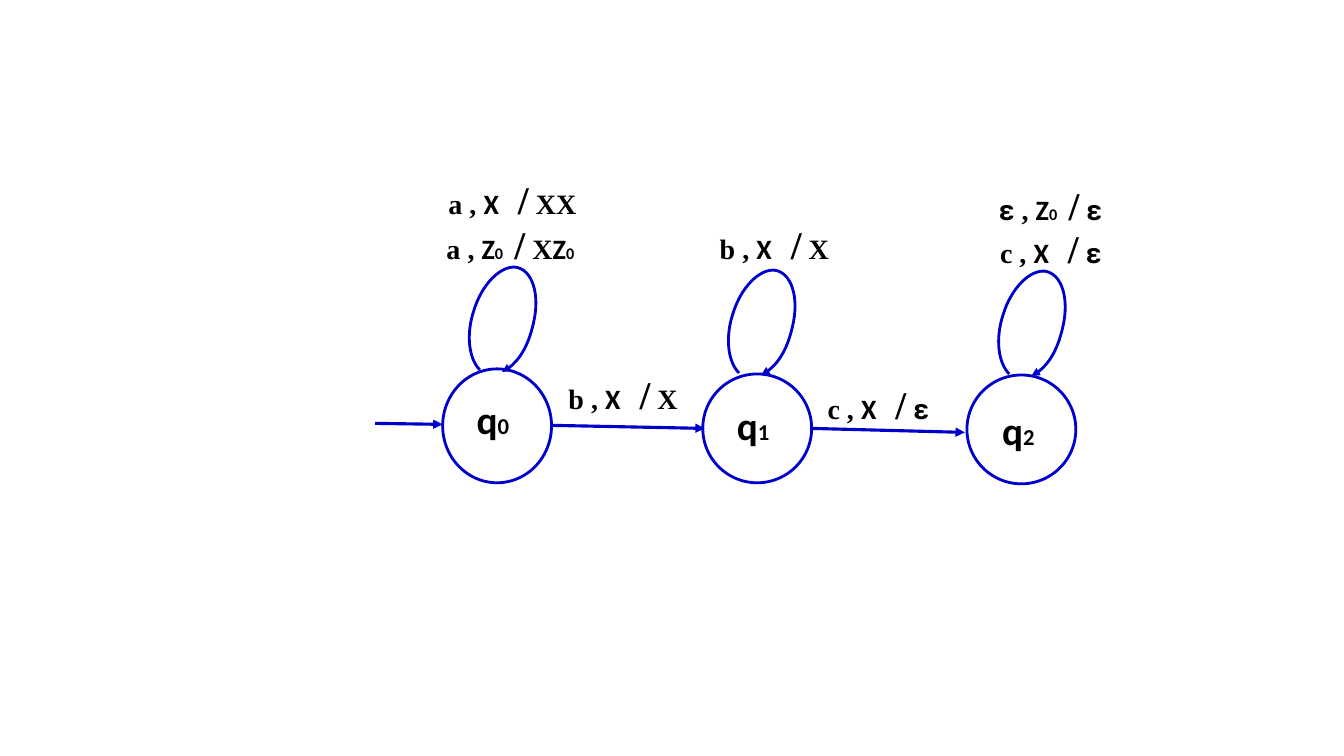
from pptx import Presentation
from pptx.dml.color import RGBColor
from pptx.enum.shapes import MSO_CONNECTOR, MSO_SHAPE
from pptx.oxml.ns import qn
from pptx.util import Pt
from lxml import etree

OVAL = MSO_SHAPE.OVAL
STRAIGHT = MSO_CONNECTOR.STRAIGHT
PX = 9144  # 100 px to the inch
COLORS = {"edge": "0000CC", "text": "000000"}
SERIF, SANS, GREEK = "Times New Roman", "Calibri", "Roboto"


def style_line(shape, width, arrow):
    shape.line.color.rgb = RGBColor.from_string(COLORS["edge"])
    shape.line.width = Pt(width)
    if arrow:
        etree.SubElement(shape.line._get_or_add_ln(), qn("a:tailEnd"), type="triangle")


def add_label(left, top, width, height, spans):
    """Each span is (text, font, size, baseline, letter spacing)."""
    box = page.shapes.add_textbox(left * PX, top * PX, width * PX, height * PX)
    box.text_frame.word_wrap = True
    para = box.text_frame.paragraphs[0]
    para.space_after = Pt(10)
    para.line_spacing = 1.08
    for text, font, size, baseline, spacing in spans:
        span = para.add_run()
        span.text = text
        span.font.name = font
        span.font.size = Pt(size)
        span.font.bold = True
        span.font.color.rgb = RGBColor.from_string(COLORS["text"])
        properties = span.font._element
        if baseline:
            properties.set("baseline", str(baseline))
        if spacing:
            properties.set("spc", str(spacing))


deck = Presentation()
deck.slide_width, deck.slide_height = 1333 * PX, 750 * PX
page = deck.slides.add_slide(deck.slide_layouts[6])

# States: circle box, label corner, start of the self-loop
states = [
    ((439, 366, 108, 113), (463, 384), (476, 367)),
    ((697, 371, 108, 108), (721, 389), (733, 370)),
    ((959, 372, 108, 108), (984, 394), (1001, 371)),
]
# Bezier points of a self-loop, relative to its start
loop_points = [
    (-11, -11), (-14, -35), (-6, -59),
    (2, -85), (20, -103), (35, -102),
    (52, -100), (60, -75), (53, -46),
    (48, -24), (36, -4), (22, 2),
]
for number, (circle_box, (label_left, label_top), (start_x, start_y)) in enumerate(states):
    circle = page.shapes.add_shape(OVAL, *[length * PX for length in circle_box])
    circle.shadow.inherit = False
    circle.fill.background()
    style_line(circle, 2, False)
    add_label(label_left, label_top, 66, 51,
              [("q", SANS, 28, 0, 0), (str(number), SANS, 28, -25, 0)])

    builder = page.shapes.build_freeform(start_x, start_y, scale=PX)
    builder.add_line_segments([(start_x + dx, start_y + dy) for dx, dy in loop_points], close=False)
    loop = builder.convert_to_shape()
    loop.shadow.inherit = False
    loop.fill.background()
    style_line(loop, 2, True)
    # Turn each three straight segments into one cubic curve
    outline = loop._element.find(".//" + qn("a:path"))
    segments = outline.findall(qn("a:lnTo"))
    for first in range(0, len(segments), 3):
        curve = etree.SubElement(outline, qn("a:cubicBezTo"))
        for segment in segments[first:first + 3]:
            curve.append(segment[0])
            outline.remove(segment)

# Arrows between states
for ends in [(372, 420, 439, 421), (547, 422, 699, 425), (805, 425, 957, 429)]:
    arrow = page.shapes.add_connector(STRAIGHT, *[length * PX for length in ends])
    style_line(arrow, 2.25, True)
    etree.SubElement(arrow._element.spPr, qn("a:effectLst"))

# Transition labels: box, input, stack top, replacement
transitions = [
    ((433, 210, 159, 62), "a", "Z0", "XZ0"),
    ((435, 165, 157, 62), "a", "X", "XX"),
    ((704, 210, 150, 50), "b", "X", "X"),
    ((554, 359, 136, 64), "b", "X", "X"),
    ((981, 171, 133, 66), "ε", "Z0", "ε"),
    ((811, 369, 136, 64), "c", "X", "ε"),
    ((982, 214, 136, 64), "c", "X", "ε"),
]
for label_box, symbol, top, replacement in transitions:
    spans = [(symbol, GREEK if symbol == "ε" else SERIF, 20, 0, 0),
             (" , ", SERIF, 20, 0, 0), (top[0], SANS, 20, 0, 0)]
    if top == "Z0":
        spans.append(("0", SANS, 20, -25, 0))
    spans.append((" ", SANS, 20, 0, 350 if top == "Z0" else 900))
    spans += [("/", SERIF, 28, 0, 0), (" ", SERIF, 20, 0, 0)]
    for letter in replacement:
        font = {"ε": GREEK, "X": SERIF}.get(letter, SANS)
        spans.append((letter, font, 20, -25 if letter == "0" else 0, 0))
    add_label(*label_box, spans)

deck.save("out.pptx")
